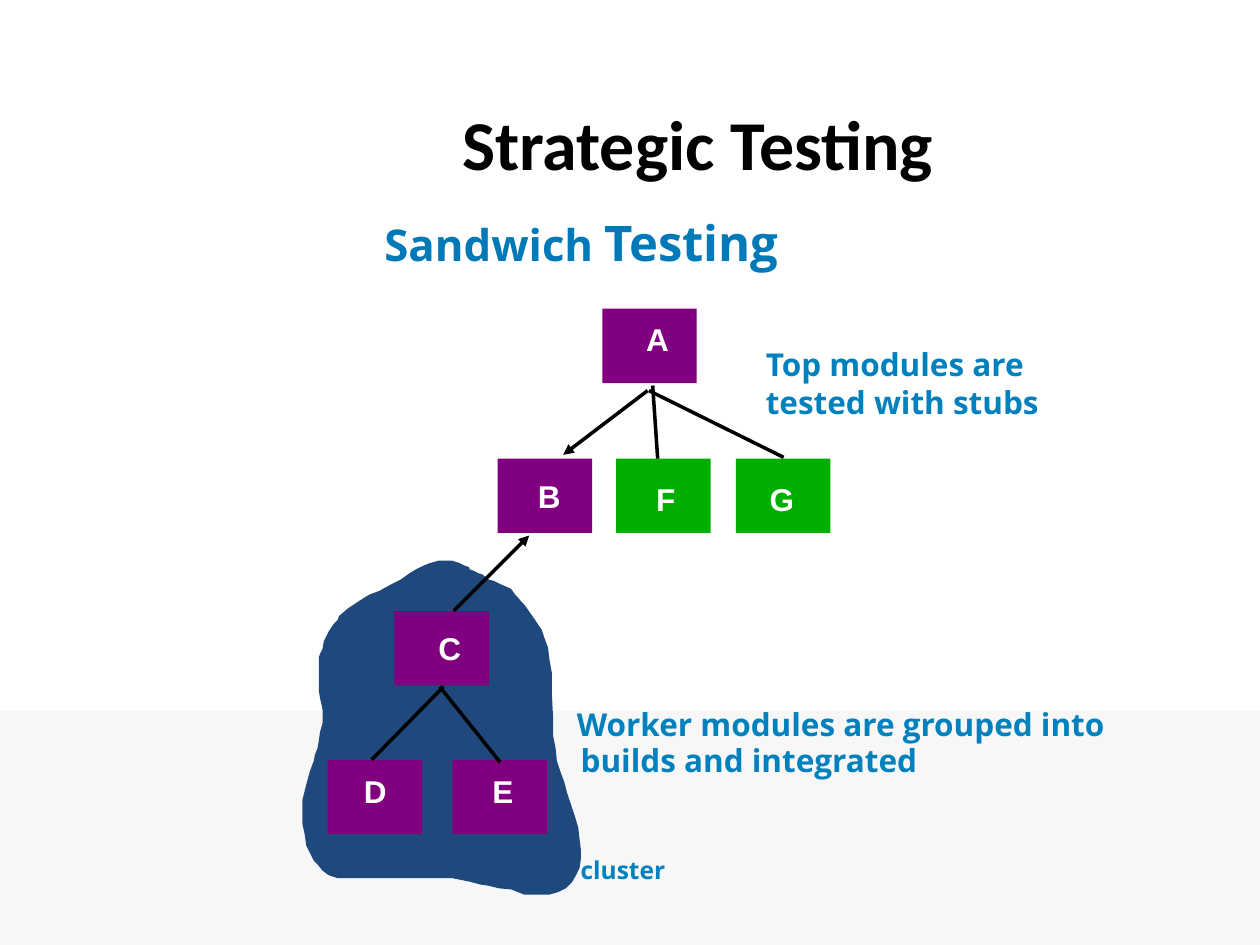
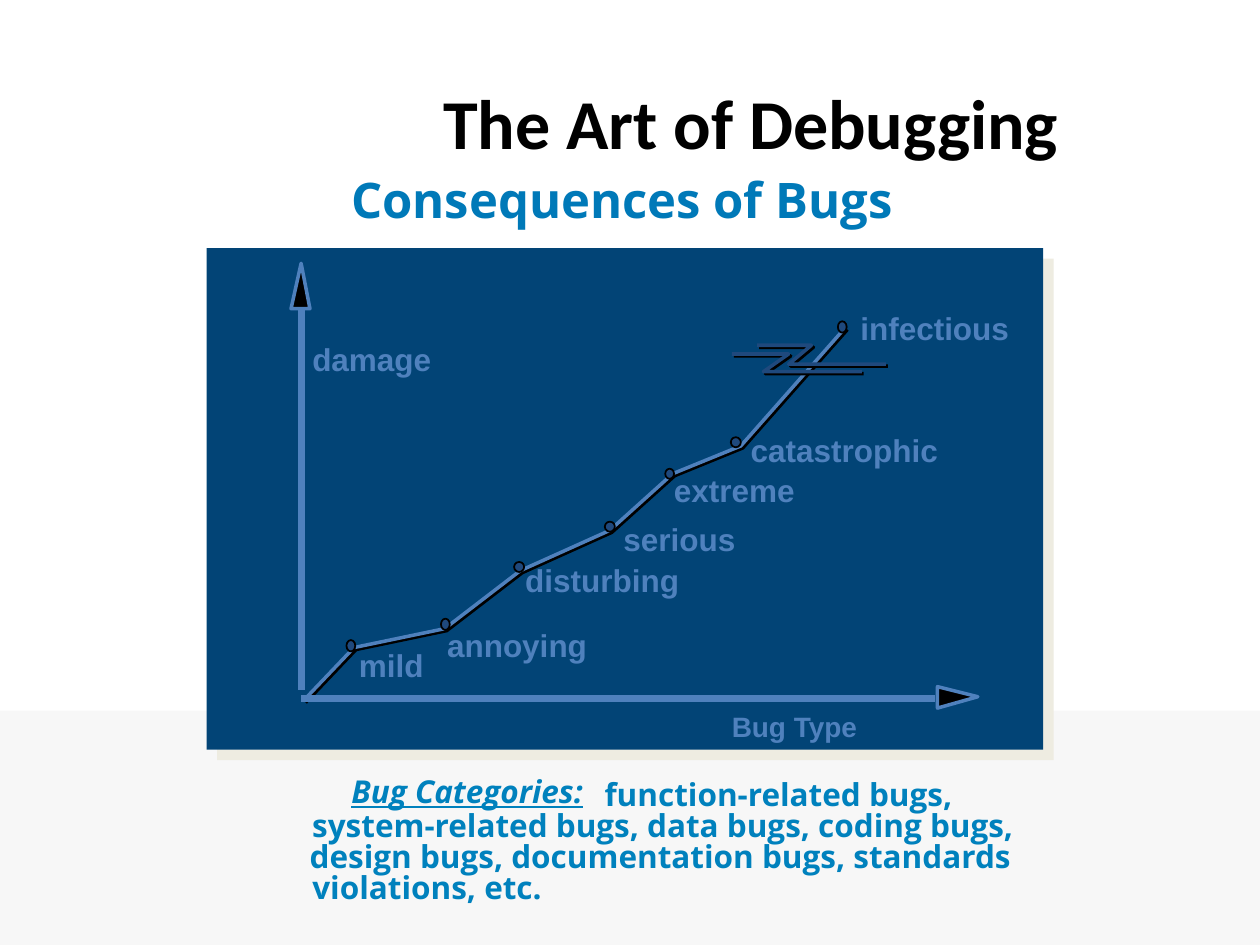
import pptx
import pptx.util
import pptx.dml.color
import pptx.enum.shapes
import pptx.enum.text
import pptx.oxml
import pptx.oxml.ns

COLORS = {
    "band": "F7F7F7", "heading": "000000", "title": "0079B8", "caption": "0081BD",
    "label": "FFFFFF", "cluster": "1F497D", "worker": "800080", "stub": "00AE00",
    "ink": "000000", "panel": "024476", "panel_shadow": "EEECE1", "chart": "4F81BD",
}
INCH = 2.54
SHADE = 0.04
MODULE_SIZE = (0.75, 0.59)
TITLE_FONT, LABEL_FONT = "Open Sans", "Arial"
AXIS_WIDTH, LINE_WIDTH, DOT_WIDTH = 4, 2, 1

BAND = (0, 5.64, 10, 1.86)

STRATEGY = {
    "heading": ("Strategic Testing", (3.57, 0.75, 4.01, 0.77)),
    "title": ([("Sandwich ", 25), ("Testing", 28)], (1.44, 1.66, 6.35, 0.52)),
}
MODULES = [
    ("A", "worker", (4.78, 2.45), (5.03, 2.49)),
    ("B", "worker", (3.95, 3.64), (4.17, 3.74)),
    ("C", "worker", (3.13, 4.85), (3.38, 4.94)),
    ("D", "worker", (2.6, 6.03), (2.79, 6.08)),
    ("E", "worker", (3.59, 6.03), (3.81, 6.08)),
    ("F", "stub", (4.89, 3.64), (5.11, 3.76)),
    ("G", "stub", (5.84, 3.64), (6.01, 3.76)),
]
CALLS = [
    ((3.52, 5.45), (2.95, 6.03), False),
    ((3.49, 5.45), (3.97, 6.05), False),
    ((5.18, 3.06), (5.22, 3.64), False),
    ((5.15, 3.1), (6.22, 3.63), False),
    ((5.14, 3.1), (4.47, 3.61), True),
    ((3.6, 4.85), (4.2, 4.25), True),
]
STRATEGY_CAPTIONS = [
    ("Top modules are\ntested with stubs", (5.98, 2.69, 2.37, 0.7), 18),
    ("Worker modules are grouped into", (4.48, 5.55, 4.47, 0.4), 18),
    ("builds and integrated", (4.51, 5.83, 2.88, 0.4), 18),
    ("cluster", (4.51, 6.74, 0.87, 0.33), 14),
]
CLUSTER_OUTLINE = [
    (4.07, 4.69), (4.05, 4.67), (3.98, 4.64), (3.92, 4.61), (3.88, 4.6), (3.83, 4.56),
    (3.8, 4.55), (3.76, 4.53), (3.73, 4.52), (3.72, 4.5), (3.69, 4.49), (3.65, 4.47),
    (3.59, 4.45), (3.48, 4.45), (3.41, 4.47), (3.36, 4.49), (3.3, 4.52), (3.25, 4.55),
    (3.18, 4.6), (3.1, 4.64), (3.01, 4.69), (2.93, 4.72), (2.85, 4.77), (2.76, 4.83),
    (2.69, 4.89), (2.68, 4.92), (2.65, 4.95), (2.61, 5.01), (2.57, 5.09), (2.56, 5.15),
    (2.54, 5.19), (2.53, 5.22), (2.53, 5.48), (2.54, 5.54), (2.56, 5.63), (2.56, 5.74),
    (2.54, 5.81), (2.53, 5.88), (2.52, 5.94), (2.5, 5.99), (2.49, 6.04), (2.46, 6.12),
    (2.43, 6.23), (2.4, 6.35), (2.4, 6.54), (2.42, 6.63), (2.43, 6.71), (2.46, 6.77),
    (2.49, 6.83), (2.52, 6.86), (2.56, 6.91), (2.6, 6.94), (2.62, 6.95), (2.68, 6.97),
    (3.59, 6.97), (3.69, 6.99), (3.74, 7), (3.81, 7.02), (3.88, 7.03), (3.96, 7.05),
    (4.06, 7.06), (4.16, 7.1), (4.36, 7.1), (4.43, 7.08), (4.49, 7.05), (4.54, 7),
    (4.57, 6.95), (4.6, 6.89), (4.61, 6.82), (4.61, 6.74), (4.6, 6.66), (4.59, 6.57),
    (4.56, 6.47), (4.53, 6.38), (4.5, 6.29), (4.48, 6.21), (4.45, 6.13), (4.42, 6.04),
    (4.41, 5.94), (4.39, 5.84), (4.39, 5.7), (4.38, 5.5), (4.38, 5.34), (4.36, 5.23),
    (4.35, 5.14), (4.32, 5.06), (4.3, 5), (4.24, 4.91), (4.17, 4.81), (4.09, 4.72),
    (4.05, 4.67),
]

DEBUGGING = {
    "heading": ("The Art of Debugging", (3.42, 0.58, 5.08, 0.77)),
    "title": ([("Consequences of Bugs", 28)], (1.52, 1.27, 6.83, 0.62)),
}
PANEL = (1.64, 1.97, 6.64, 3.98)
ORIGIN = (2.41, 5.56)
BUGS = [
    ("mild", (2.81, 5.14), (2.75, 5.08, 0.07, 0.09), (2.75, 5.08, 0.8, 0.4)),
    ("annoying", (3.53, 4.99), (3.5, 4.91, 0.07, 0.09), (3.45, 4.92, 1.35, 0.4)),
    ("disturbing", (4.13, 4.53), (4.08, 4.46, 0.08, 0.08), (4.07, 4.4, 1.46, 0.4)),
    ("serious", (4.84, 4.21), (4.8, 4.14, 0.08, 0.08), (4.85, 4.08, 1.13, 0.4)),
    ("extreme", (5.34, 3.76), (5.28, 3.72, 0.07, 0.08), (5.25, 3.69, 1.2, 0.4)),
    ("catastrophic", (5.88, 3.54), (5.8, 3.47, 0.08, 0.08), (5.86, 3.37, 1.73, 0.4)),
    ("infectious", (6.71, 2.6), (6.65, 2.55, 0.07, 0.09), (6.73, 2.4, 1.42, 0.4)),
]
AXES = [
    ("damage", (2.38, 2.65, 1.25, 0.4), 18, (2.39, 2.46), (2.39, 5.48),
     [(2.39, 2.09), (2.46, 2.45), (2.31, 2.45)]),
    ("Bug Type", (5.71, 5.58, 1.25, 0.36), 16, (2.39, 5.54), (7.42, 5.54),
     [(7.76, 5.53), (7.44, 5.62), (7.44, 5.45)]),
]
SCALE_BREAKS = [
    [(6.01, 2.74), (6.44, 2.74), (6.26, 2.89), (7.03, 2.89)],
    [(5.81, 2.81), (6.26, 2.81), (6.06, 2.95), (6.84, 2.95)],
]
CATEGORIES = [
    ("Bug Categories:", (2.69, 6.08, 2.04, 0.4)),
    ("function-related bugs,", (4.7, 6.1, 3.03, 0.4)),
    ("system-related bugs, data bugs, coding bugs,", (2.38, 6.35, 5.84, 0.4)),
    ("design bugs, documentation bugs, standards", (2.36, 6.59, 5.84, 0.4)),
    ("violations, etc.", (2.38, 6.84, 2.02, 0.4)),
]


def lengths(values):
    return [pptx.util.Cm(value * INCH) for value in values]


def rgb(name):
    return pptx.dml.color.RGBColor.from_string(COLORS[name])


def style_font(font, size, face, color):
    font.size = pptx.util.Pt(size)
    font.name = face
    font.bold = True
    font.color.rgb = rgb(color)


def paint(shape, fill=None, line=None, width=LINE_WIDTH):
    shape.shadow.inherit = False
    if fill:
        shape.fill.solid()
        shape.fill.fore_color.rgb = rgb(fill)
    else:
        shape.fill.background()
    if line:
        shape.line.color.rgb = rgb(line)
        shape.line.width = pptx.util.Pt(width)
    else:
        shape.line.fill.background()
    return shape


def add_preset(shapes, box, fill, line=None, width=LINE_WIDTH, preset="RECTANGLE"):
    kind = getattr(pptx.enum.shapes.MSO_SHAPE, preset)
    return paint(shapes.add_shape(kind, *lengths(box)), fill, line, width)


def add_outline(shapes, points, fill=None, line=None, offset=0, close=False):
    shift = pptx.util.Cm(offset)
    corners = [tuple(value + shift for value in lengths(point)) for point in points]
    builder = shapes.build_freeform(*corners[0])
    builder.add_line_segments(corners[1:], close=close)
    return paint(builder.convert_to_shape(), fill, line)


def add_shaded_path(shapes, points, color):
    add_outline(shapes, points, line="ink", offset=SHADE)
    add_outline(shapes, points, line=color)


def add_line(shapes, start, end, color, width, arrow=False):
    straight = pptx.enum.shapes.MSO_CONNECTOR.STRAIGHT
    connector = shapes.add_connector(straight, *lengths(start + end))
    connector.line.color.rgb = rgb(color)
    connector.line.width = pptx.util.Pt(width)
    properties = connector.element.spPr
    if arrow:
        outline = properties.find(pptx.oxml.ns.qn("a:ln"))
        outline.append(pptx.oxml.parse_xml(
            f'<a:tailEnd {pptx.oxml.ns.nsdecls("a")} type="triangle"/>'))
    properties.append(pptx.oxml.parse_xml(f'<a:effectLst {pptx.oxml.ns.nsdecls("a")}/>'))


def add_text(shapes, text, box, size, face, color):
    frame = shapes.add_textbox(*lengths(box)).text_frame
    frame.word_wrap = False
    frame.auto_size = pptx.enum.text.MSO_AUTO_SIZE.SHAPE_TO_FIT_TEXT
    frame.text = text
    for paragraph in frame.paragraphs:
        style_font(paragraph.font, size, face, color)
    return frame


def add_slide(deck, content):
    slide = deck.slides.add_slide(deck.slide_layouts[5])
    heading, heading_box = content["heading"]
    add_text(slide.shapes, heading, heading_box, 40, "Calibri", "heading")
    parts, title_box = content["title"]
    title = slide.shapes.title
    title.left, title.top, title.width, title.height = lengths(title_box)
    frame = title.text_frame
    frame.word_wrap = True
    frame.auto_size = pptx.enum.text.MSO_AUTO_SIZE.NONE
    frame.vertical_anchor = pptx.enum.text.MSO_ANCHOR.MIDDLE
    paragraph = frame.paragraphs[0]
    paragraph.alignment = pptx.enum.text.PP_ALIGN.CENTER
    for text, size in parts:
        run = paragraph.add_run()
        run.text = text
        run.font.size = pptx.util.Pt(size)
    style_font(paragraph.font, parts[0][1], TITLE_FONT, "title")
    return slide


def add_master_band(deck, slide):
    band = add_preset(slide.shapes, BAND, "band")
    deck.slide_master.shapes.element.insert(2, band.element)


def build_strategy(shapes):
    add_outline(shapes, CLUSTER_OUTLINE, fill="cluster", close=True)
    for _, role, corner, _ in MODULES:
        add_preset(shapes, corner + MODULE_SIZE, role)
    for start, end, arrow in CALLS:
        add_line(shapes, start, end, "ink", LINE_WIDTH, arrow)
    for text, box, size in STRATEGY_CAPTIONS:
        add_text(shapes, text, box, size, TITLE_FONT, "caption")
    for name, _, _, corner in MODULES:
        add_text(shapes, name, corner + (0.38, 0.4), 18, LABEL_FONT, "label")


def build_debugging(shapes):
    panel = add_preset(shapes, PANEL, "panel")
    effects = panel.element.spPr.find(pptx.oxml.ns.qn("a:effectLst"))
    effects.append(pptx.oxml.parse_xml(
        f'<a:outerShdw {pptx.oxml.ns.nsdecls("a")} dist="{pptx.util.Pt(8.5)}" dir="2700000" '
        f'algn="ctr" rotWithShape="0"><a:srgbClr val="{COLORS["panel_shadow"]}"/></a:outerShdw>'))
    add_shaded_path(shapes, [ORIGIN] + [vertex for _, vertex, _, _ in BUGS], "chart")
    for name, box, size, start, end, tip in AXES:
        axis = shapes.add_group_shape().shapes
        add_outline(axis, tip, "ink", "chart", close=True)
        add_line(axis, start, end, "chart", AXIS_WIDTH)
        add_text(shapes, name, box, size, LABEL_FONT, "chart")
    for name, _, dot, box in BUGS:
        add_text(shapes, name, box, 18, LABEL_FONT, "chart")
        add_preset(shapes, dot, "cluster", "ink", DOT_WIDTH, "OVAL")
    for points in SCALE_BREAKS:
        add_shaded_path(shapes, points, "cluster")
    categories = shapes.add_group_shape().shapes
    frames = [add_text(categories, text, box, 18, TITLE_FONT, "caption")
              for text, box in CATEGORIES]
    lead = frames[0].paragraphs[0].font
    lead.italic = True
    lead.underline = True


def main():
    deck = pptx.Presentation()
    deck.slide_width, deck.slide_height = lengths((10, 7.5))
    strategy = add_slide(deck, STRATEGY)
    add_master_band(deck, strategy)
    build_strategy(strategy.shapes)
    build_debugging(add_slide(deck, DEBUGGING).shapes)
    deck.save("out.pptx")


if __name__ == "__main__":
    main()
